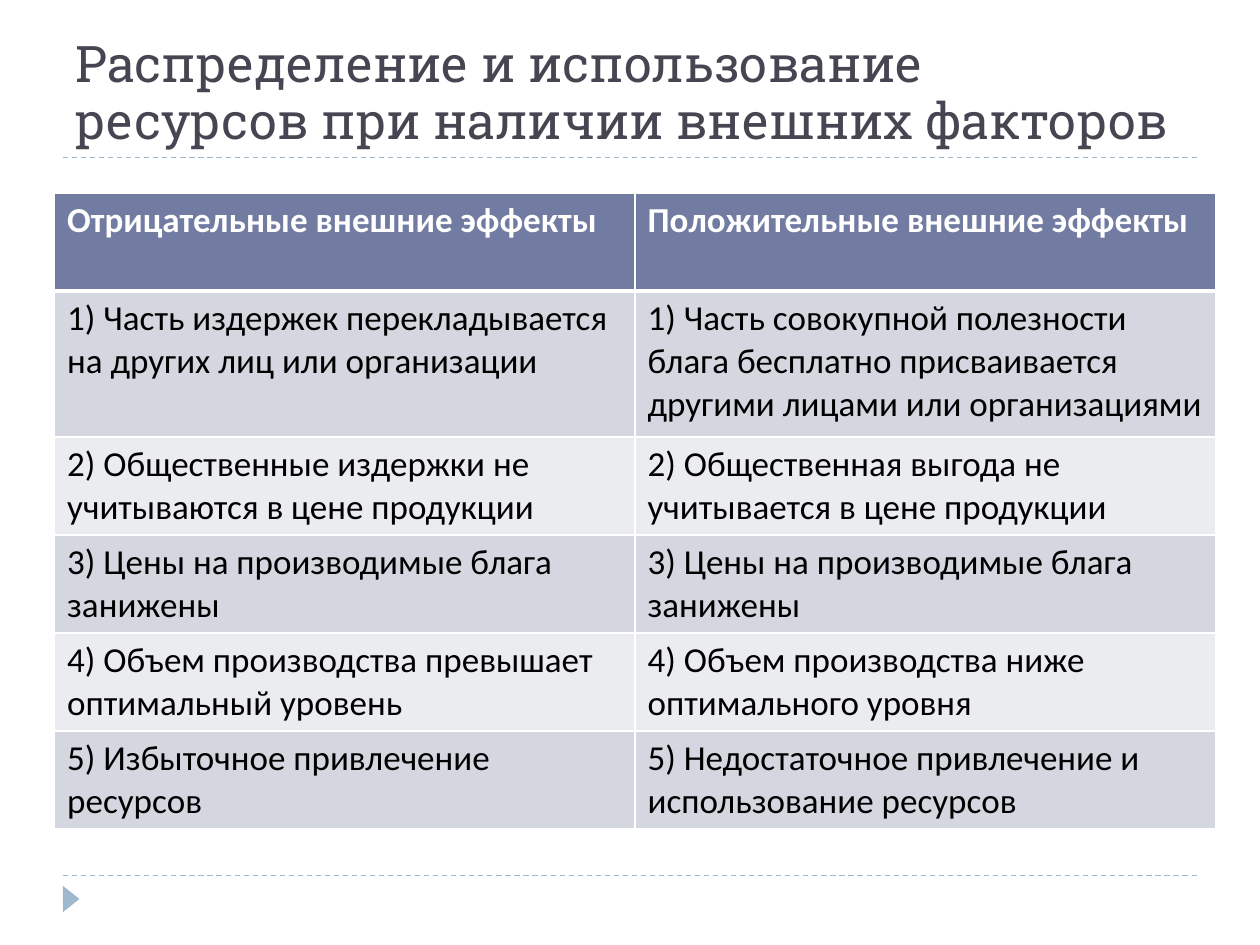
from pptx import Presentation
from pptx.dml.color import RGBColor as RGB
from pptx.enum.dml import MSO_LINE as Dash
from pptx.enum.shapes import MSO_CONNECTOR as Conn, MSO_SHAPE as Shape
from pptx.enum.text import MSO_ANCHOR as Anchor
from pptx.oxml.ns import qn
from pptx.util import Pt
from lxml.etree import SubElement as Sub

INK = RGB(0x46, 0x46, 0x53)
SKY = RGB(0x9F, 0xB8, 0xCD)
HEAD = RGB(0x72, 0x7C, 0xA3)
ODD = RGB(0xD5, 0xD7, 0xE0)
EVEN = RGB(0xEB, 0xEC, 0xF0)
WHITE = RGB(0xFF, 0xFF, 0xFF)
BLACK = RGB(0, 0, 0)

ROWS = [
    ("Отрицательные внешние эффекты", "Положительные внешние эффекты"),
    ("1) Часть издержек перекладывается\nна других лиц или организации",
     "1) Часть совокупной полезности блага бесплатно присваивается "
     "другими лицами или организациями"),
    ("2) Общественные издержки не учитываются в цене продукции",
     "2) Общественная выгода не\nучитывается в цене продукции"),
    ("3) Цены на производимые блага занижены",
     "3) Цены на производимые блага занижены"),
    ("4) Объем производства превышает оптимальный уровень",
     "4) Объем производства ниже\nоптимального уровня"),
    ("5) Избыточное привлечение ресурсов",
     "5) Недостаточное привлечение и\nиспользование ресурсов"),
]


def write(frame, text, font="Calibri", size=20, color=BLACK, bold=False, gap=None):
    frame.word_wrap = True
    frame.text = text
    for para in frame.paragraphs:
        para.line_spacing = gap
        for run in para.runs:
            run.font.name = font
            run.font.size = Pt(size)
            run.font.bold = bold
            run.font.color.rgb = color


def edge(cell, side, width):
    line = Sub(cell._tc.get_or_add_tcPr(), qn("a:ln" + side), w=str(Pt(width)))
    Sub(Sub(line, qn("a:solidFill")), qn("a:srgbClr"), val=str(WHITE))


class Page:
    def __init__(self, slide):
        self.shapes = slide.shapes

    def rule(self, y):
        line = self.shapes.add_connector(Conn.STRAIGHT, Pt(36), Pt(y), Pt(684), Pt(y))
        line.line.color.rgb = SKY
        line.line.width = Pt(0.75)
        line.line.dash_style = Dash.DASH
        Sub(line._element.spPr, qn("a:effectLst"))

    def arrow(self, x, y, w, h):
        mark = self.shapes.add_shape(Shape.ISOSCELES_TRIANGLE, Pt(x), Pt(y), Pt(w), Pt(h))
        mark.rotation = 90
        mark.shadow.inherit = False
        mark.fill.solid()
        mark.fill.fore_color.rgb = SKY
        mark.line.fill.background()

    def title(self, text, x, y, w, h):
        frame = self.shapes.add_textbox(Pt(x), Pt(y), Pt(w), Pt(h)).text_frame
        frame.vertical_anchor = Anchor.BOTTOM
        write(frame, text, font="Roboto Slab", size=28.8, color=INK, gap=0.95)

    def table(self, rows, x, y, w, highs):
        size = len(rows), len(rows[0])
        grid = self.shapes.add_table(*size, Pt(x), Pt(y), Pt(w), Pt(sum(highs))).table
        for r, (texts, high) in enumerate(zip(rows, highs)):
            grid.rows[r].height = Pt(high)
            for c, text in enumerate(texts):
                self.cell(grid.cell(r, c), text, r)

    def cell(self, cell, text, row):
        top = row == 0
        for side in "LR":
            edge(cell, side, 1)
        edge(cell, "T", 3 if row == 1 else 1)
        edge(cell, "B", 3 if top else 1)
        cell.fill.solid()
        cell.fill.fore_color.rgb = HEAD if top else ODD if row % 2 else EVEN
        write(cell.text_frame, text, color=WHITE if top else BLACK, bold=top)


def main():
    deck = Presentation()
    deck.slide_width, deck.slide_height = Pt(720), Pt(540)
    page = Page(deck.slides.add_slide(deck.slide_layouts[6]))

    # Frame lines and corner mark
    page.rule(500.4)
    page.rule(90)
    page.arrow(33.1, 509, 15.1, 9.4)

    # Heading
    page.title("Распределение и использование\vресурсов при наличии внешних факторов",
               36, 18, 648, 72)

    # Comparison of effects
    page.table(ROWS, 31.2, 110.3, 663.4, [56, 83.5] + [56] * 4)
    deck.save("out.pptx")


if __name__ == "__main__":
    main()
